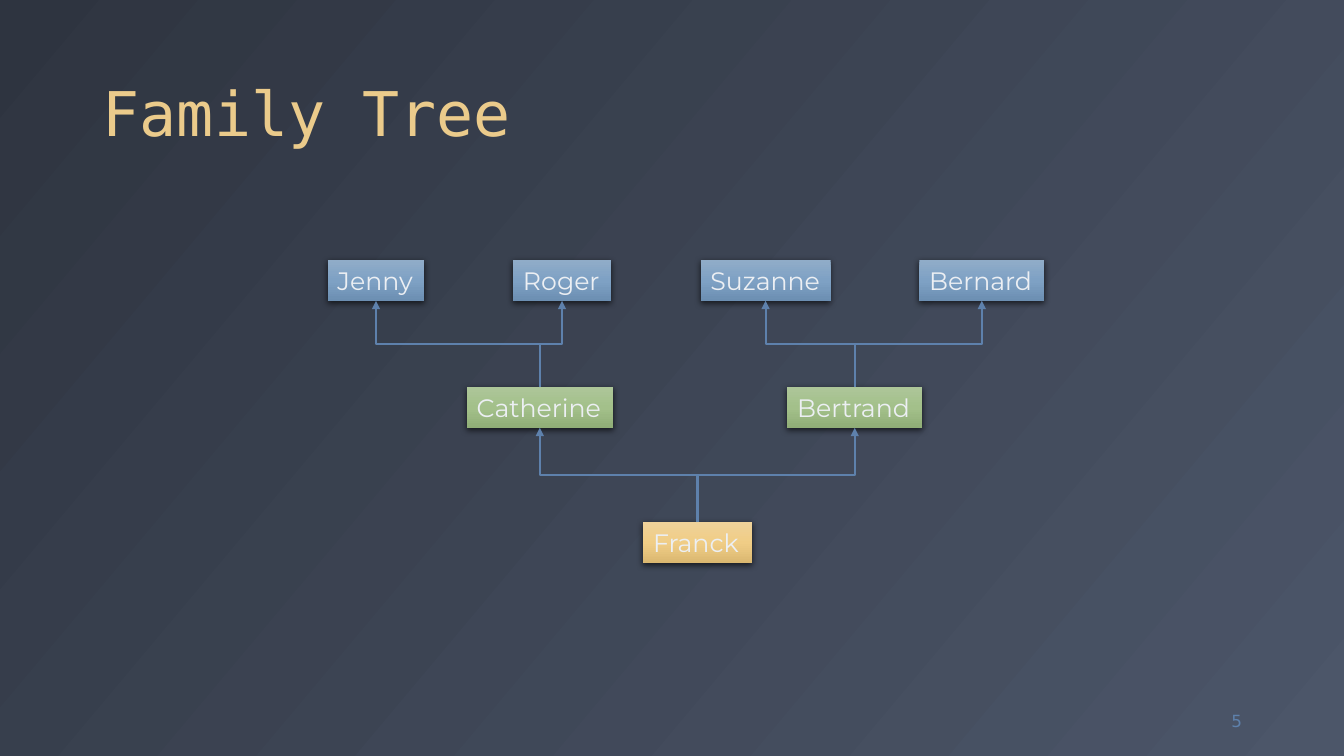
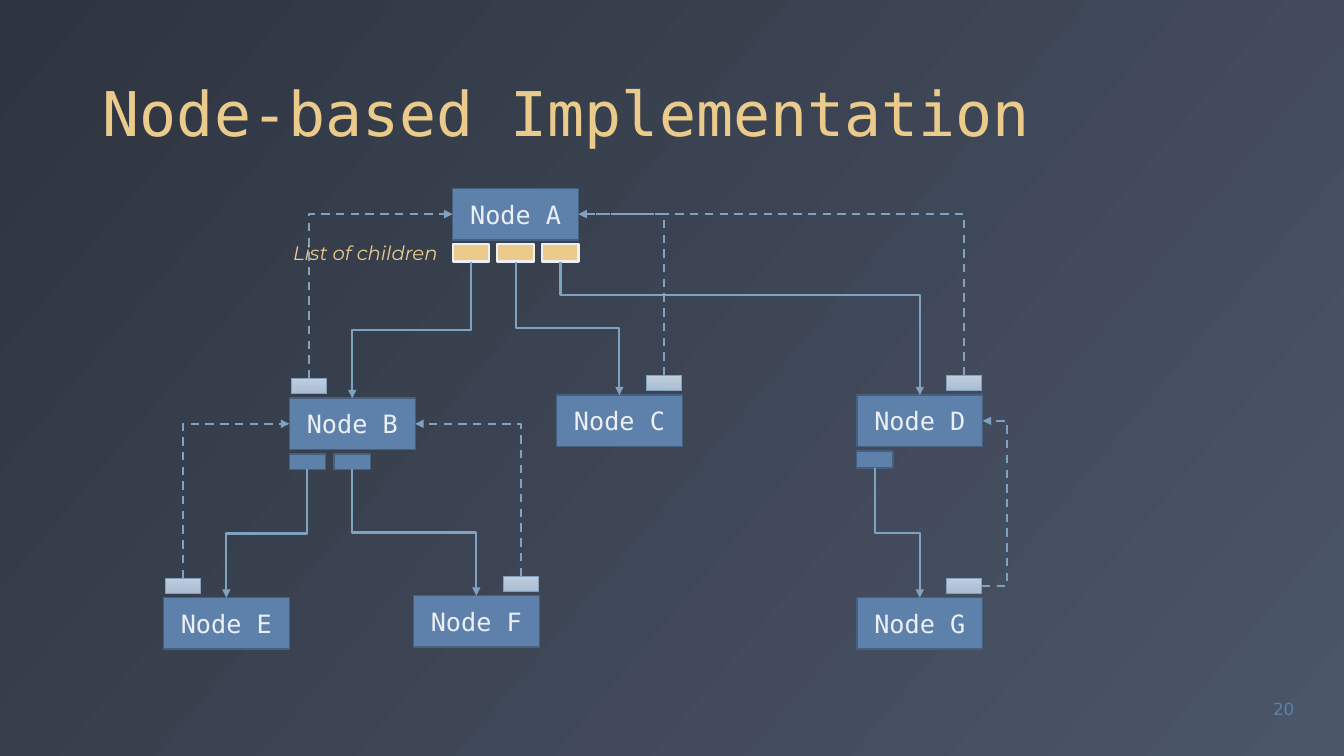
"""Two slides on trees: a family tree and its node-based implementation."""
import copy
import enum
from dataclasses import dataclass
from typing import NamedTuple

import lxml.etree
import pptx
import pptx.dml.color
import pptx.enum.dml
import pptx.enum.shapes
import pptx.enum.text
import pptx.oxml.ns
import pptx.util

qn = pptx.oxml.ns.qn
Align = pptx.enum.text.PP_ALIGN
Anchor = pptx.enum.text.MSO_ANCHOR
AutoSize = pptx.enum.text.MSO_AUTO_SIZE


@dataclass(frozen=True)
class Theme:
    """Colours, fonts and type sizes of the deck."""
    background: tuple = ("2E3440", "4C5669")
    gold: str = "EBCB8B"
    white: str = "ECEFF3"
    blue: str = "5E81AC"
    outline: str = "465F7F"
    link: str = "81A1C1"
    tag: tuple = ("C1CFDF", "B4C5D8", "A8BDD5")
    generations: tuple = (("EFD29A", "F0CD86", "DBB871"),
                          ("ADC699", "A3C08A", "90AE77"),
                          ("90ACC8", "7EA1C4", "6C8FB2"))
    mono: str = "DejaVu Sans Mono"
    sans: str = "DejaVu Sans"
    body: str = "Montserrat"
    title_size: int = 44
    text_size: int = 18
    label_size: int = 14
    number_size: int = 12
    line_width: float = 1.5


class Site(enum.IntEnum):
    """Connection sites of a rectangle."""
    TOP = 0
    LEFT = 1
    BOTTOM = 2
    RIGHT = 3


class Frame(NamedTuple):
    """A rectangle in columns and rows of the grid."""
    column: float
    row: float
    width: float
    height: float


class Person(NamedTuple):
    """A member of the family, with the name of the child."""
    name: str
    column: float
    width: float
    generation: int
    child: str = ""


class Node(NamedTuple):
    """A tree node, its parent and the side on which it links back."""
    name: str
    column: float
    row: float
    parent: str = ""
    side: Site = Site.LEFT
    lane: float = 0.5
    slot_height: float = 1.7
    tag_exit: Site = Site.TOP


THEME = Theme()
CELL = pptx.util.Inches(0.1)
SLIDE_COLUMNS, SLIDE_ROWS = 133.33, 75
TITLE = Frame(9.2, 1.8, 115, 13.6)
GENERATION_ROWS = (51.8, 38.4, 25.8)
PERSON_HEIGHT = 4.05
NODE_WIDTH, NODE_HEIGHT = 12.5, 5.1
SLOT_WIDTH, SLOT_PITCH, SLOT_DROP = 3.6, 4.45, 5.55
TAG_WIDTH, TAG_HEIGHT, TAG_RISE = 3.5, 1.5, 1.95
TAG_SHIFT = {Site.LEFT: 0.2, Site.RIGHT: 8.9}
DETOUR_LANE = 25

PEOPLE = (
    Person("Franck", 63.8, 10.8, 0),
    Person("Catherine", 46.3, 14.5, 1, "Franck"),
    Person("Bertrand", 78.1, 13.4, 1, "Franck"),
    Person("Jenny", 32.5, 9.6, 2, "Catherine"),
    Person("Roger", 50.9, 9.7, 2, "Catherine"),
    Person("Suzanne", 69.5, 12.9, 2, "Bertrand"),
    Person("Bernard", 91.2, 12.4, 2, "Bertrand"),
)
NODES = (
    Node("A", 44.9, 18.7),
    Node("B", 28.7, 39.5, "A", slot_height=1.5),
    Node("C", 55.2, 39.2, "A", Site.RIGHT),
    Node("D", 85, 39.2, "A", Site.RIGHT, lane=0.25),
    Node("E", 16.2, 59.3, "B"),
    Node("F", 41, 59.1, "B", Site.RIGHT),
    Node("G", 85, 59.3, "D", Site.RIGHT, tag_exit=Site.RIGHT),
)


def rgb(colour: str) -> pptx.dml.color.RGBColor:
    """Turn a hex colour into a pptx colour."""
    return pptx.dml.color.RGBColor.from_string(colour)


def place(frame: Frame) -> list:
    """Turn a grid frame into slide lengths."""
    return [pptx.util.Emu(round(length * CELL)) for length in frame]


def paint_gradient(fill, owner, colours: tuple, angle: float) -> None:
    """Fill with evenly spaced stops at a clockwise angle."""
    fill.gradient()
    fill.gradient_angle = 360 - angle
    stop_list = next(owner.iter(qn("a:gsLst")))
    while len(stop_list) < len(colours):
        stop_list.append(copy.deepcopy(stop_list[0]))
    for index, (stop, colour) in enumerate(zip(fill.gradient_stops, colours)):
        stop.position = index / (len(colours) - 1)
        stop.color.rgb = rgb(colour)


def write(box, text: str, *, font: str, size: float, colour: str,
          align=Align.LEFT, anchor=Anchor.TOP, wrap: bool = True,
          fit=AutoSize.NONE, italic: bool = False, spacing: float = 1.0) -> None:
    """Put one formatted paragraph into a box."""
    frame = box.text_frame
    frame.word_wrap, frame.auto_size, frame.vertical_anchor = wrap, fit, anchor
    para = frame.paragraphs[0]
    para.alignment, para.line_spacing = align, spacing
    span = para.add_run()
    span.text = text
    span.font.name, span.font.size = font, pptx.util.Pt(size)
    span.font.italic, span.font.color.rgb = italic, rgb(colour)


def add_box(page, frame: Frame, fill, line: str = "", width: float = 1):
    """Draw a rectangle with a plain or gradient fill."""
    box = page.shapes.add_shape(pptx.enum.shapes.MSO_SHAPE.RECTANGLE, *place(frame))
    box.shadow.inherit = False
    if isinstance(fill, tuple):
        paint_gradient(box.fill, box.element, fill, 90)
    else:
        box.fill.solid()
        box.fill.fore_color.rgb = rgb(fill)
    if line:
        box.line.color.rgb = rgb(line)
        box.line.width = pptx.util.Pt(width)
    else:
        box.line.fill.background()
    return box


def add_shadow(box) -> None:
    """Give a box a soft shadow below it."""
    effects = box.element.spPr.find(qn("a:effectLst"))
    shadow = lxml.etree.SubElement(
        effects, qn("a:outerShdw"), blurRad=str(pptx.util.Pt(4.5)),
        dist=str(pptx.util.Pt(1.5)), dir="5400000", algn="ctr", rotWithShape="0")
    tint = lxml.etree.SubElement(shadow, qn("a:srgbClr"), val="000000")
    lxml.etree.SubElement(tint, qn("a:alpha"), val="63000")


def site_point(box, site: Site) -> tuple:
    """Find a connection site on the slide."""
    across = {Site.LEFT: 0, Site.RIGHT: box.width}.get(site, box.width // 2)
    down = {Site.TOP: 0, Site.BOTTOM: box.height}.get(site, box.height // 2)
    return box.left + across, box.top + down


def turn_upright(link, start: tuple, end: tuple) -> None:
    """Rotate an elbow so that it leaves its start vertically."""
    across, down = end[0] - start[0], end[1] - start[1]
    link.width, link.height = abs(down), abs(across)
    link.left = (start[0] + end[0] - link.width) // 2
    link.top = (start[1] + end[1] - link.height) // 2
    left_turn = (across > 0) == (down > 0)
    transform = link.element.spPr.find(qn("a:xfrm"))
    transform.set("rot", str((270 if left_turn else 90) * 60000))
    transform.set("flipH", str(int((down > 0) == left_turn)))
    transform.set("flipV", str(int(down < 0)))


def connect(page, source, leave: Site, target, enter: Site, *, colour: str,
            lane: float = 0.5, dashed: bool = False) -> None:
    """Draw an elbow arrow between sites of two boxes."""
    start, end = site_point(source, leave), site_point(target, enter)
    link = page.shapes.add_connector(
        pptx.enum.shapes.MSO_CONNECTOR.ELBOW, *start, *end)
    link.begin_connect(source, leave.value)
    link.end_connect(target, enter.value)
    upright = leave in (Site.TOP, Site.BOTTOM)
    if upright:
        turn_upright(link, start, end)
    properties = link.element.spPr
    geometry = properties.find(qn("a:prstGeom"))
    if upright and enter in (Site.LEFT, Site.RIGHT):
        geometry.set("prst", "bentConnector2")
    else:
        lxml.etree.SubElement(geometry.find(qn("a:avLst")), qn("a:gd"), name="adj1",
                              fmla=f"val {round(lane * 100000)}")
    link.line.color.rgb = rgb(colour)
    link.line.width = pptx.util.Pt(THEME.line_width)
    if dashed:
        link.line.dash_style = pptx.enum.dml.MSO_LINE.DASH
    lxml.etree.SubElement(properties.find(qn("a:ln")), qn("a:tailEnd"), type="triangle")
    lxml.etree.SubElement(properties, qn("a:effectLst"))


def add_page(deck, title: str, number: str, number_frame: Frame):
    """Add a slide with its title and page number."""
    page = deck.slides.add_slide(deck.slide_layouts.get_by_name("Title Only"))
    heading = page.shapes.title
    heading.left, heading.top, heading.width, heading.height = place(TITLE)
    write(heading, title, font=THEME.mono, size=THEME.title_size,
          colour=THEME.gold, anchor=Anchor.BOTTOM, spacing=0.9)
    box = page.shapes.add_textbox(*place(number_frame))
    write(box, number, font=THEME.sans, size=THEME.number_size,
          colour=THEME.blue, align=Align.RIGHT, anchor=Anchor.MIDDLE)
    return page


def draw_family(page) -> None:
    """Draw the people and the arrows to their parents."""
    boxes = {}
    for person in PEOPLE:
        frame = Frame(person.column, GENERATION_ROWS[person.generation],
                      person.width, PERSON_HEIGHT)
        box = add_box(page, frame, THEME.generations[person.generation])
        add_shadow(box)
        write(box, person.name, font=THEME.body, size=THEME.text_size,
              colour=THEME.white, wrap=False, fit=AutoSize.SHAPE_TO_FIT_TEXT)
        boxes[person.name] = box
        if person.child:
            connect(page, boxes[person.child], Site.TOP, box, Site.BOTTOM,
                    colour=THEME.blue)


def draw_nodes(page) -> None:
    """Draw the nodes with their child slots and parent tags."""
    boxes, slots = {}, {}
    for node in NODES:
        box = add_box(page, Frame(node.column, node.row, NODE_WIDTH, NODE_HEIGHT),
                      THEME.blue, THEME.outline)
        write(box, f"Node {node.name}", font=THEME.mono, size=THEME.text_size,
              colour=THEME.white, align=Align.CENTER, anchor=Anchor.MIDDLE)
        boxes[node.name] = box
        look = ((THEME.blue, THEME.outline, 1) if node.parent
                else (THEME.gold, THEME.white, THEME.line_width))
        children = [child.name for child in NODES if child.parent == node.name]
        for index, child in enumerate(children):
            frame = Frame(node.column + index * SLOT_PITCH, node.row + SLOT_DROP,
                          SLOT_WIDTH, node.slot_height)
            slots[child] = add_box(page, frame, *look)
        if node.parent:
            frame = Frame(node.column + TAG_SHIFT[node.side], node.row - TAG_RISE,
                          TAG_WIDTH, TAG_HEIGHT)
            tag = add_box(page, frame, THEME.tag, THEME.link, 0.5)
            connect(page, slots[node.name], Site.BOTTOM, box, Site.TOP,
                    colour=THEME.link, lane=node.lane)
            connect(page, tag, node.tag_exit, boxes[node.parent], node.side,
                    colour=THEME.link, lane=DETOUR_LANE, dashed=True)
    label = page.shapes.add_textbox(*place(Frame(28.1, 23.4, 16.5, 3.4)))
    write(label, "List of children", font=THEME.body, size=THEME.label_size,
          colour=THEME.gold, italic=True, wrap=False, fit=AutoSize.SHAPE_TO_FIT_TEXT)


def main() -> None:
    """Build and save the deck."""
    deck = pptx.Presentation()
    deck.slide_width, deck.slide_height = place((SLIDE_COLUMNS, SLIDE_ROWS))
    master = deck.slide_master
    paint_gradient(master.background.fill, master.element, THEME.background, 40)
    draw_family(add_page(deck, "Family Tree", "5", Frame(115.9, 69.5, 8.3, 4)))
    draw_nodes(add_page(deck, "Node-based Implementation", "20",
                        Frame(121.1, 68.3, 8.3, 4)))
    deck.save("out.pptx")


if __name__ == "__main__":
    main()
